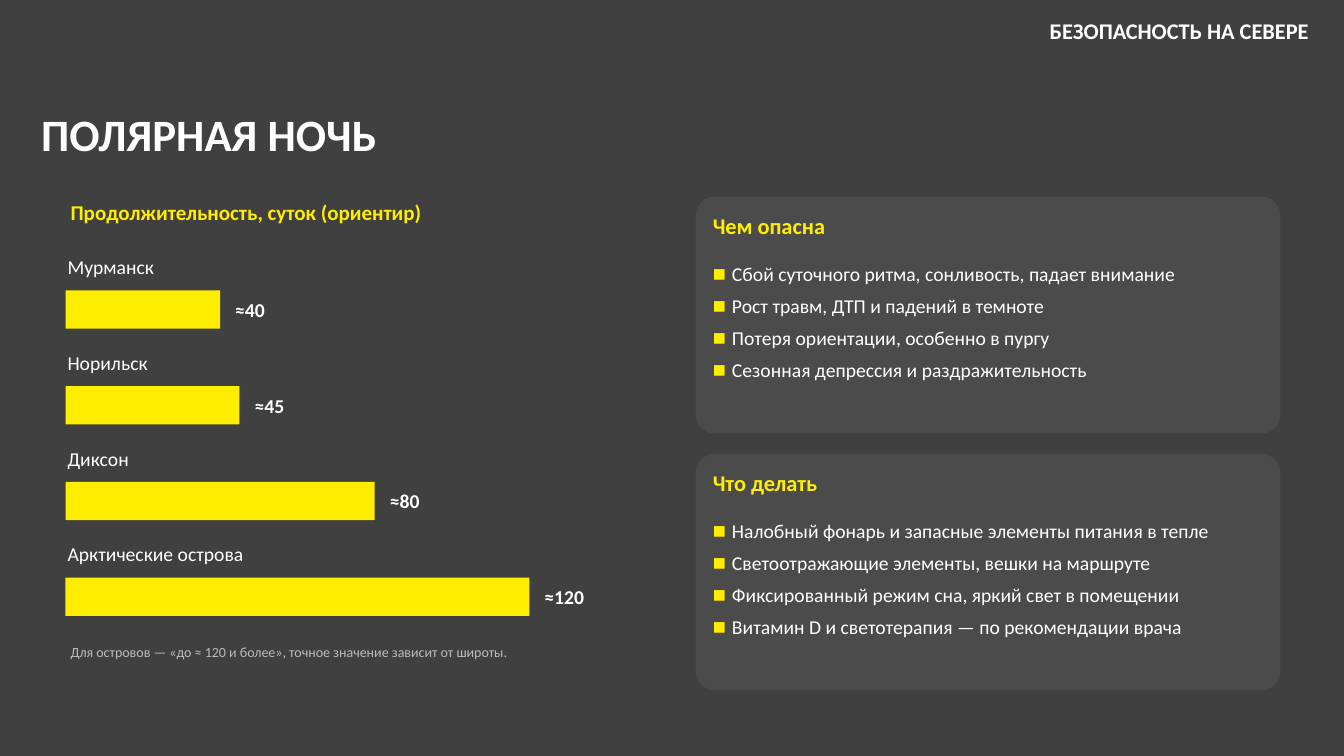
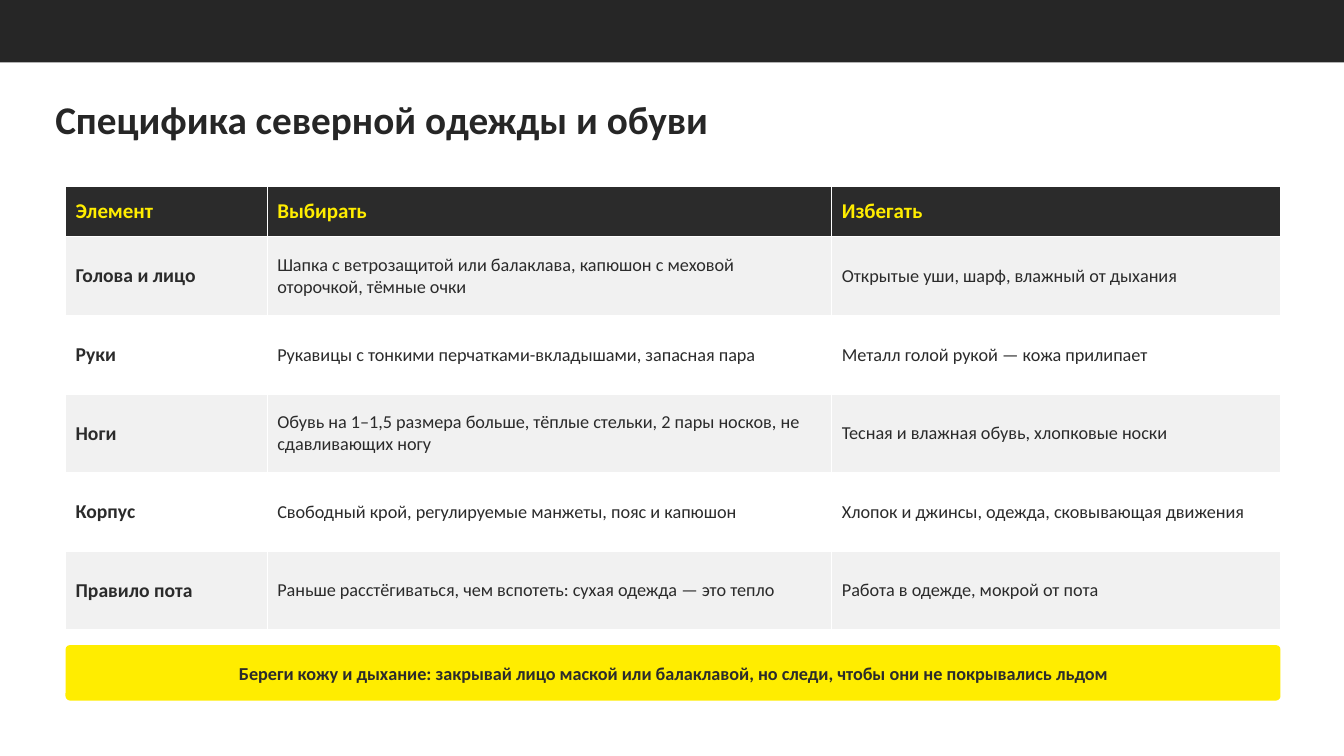
"""Build two slides on safety in the North: polar night and northern clothing."""
from lxml import etree
from pptx import Presentation
from pptx.dml.color import RGBColor
from pptx.enum.shapes import MSO_SHAPE as Shape
from pptx.enum.text import MSO_ANCHOR as Anchor, PP_ALIGN as Align
from pptx.oxml.ns import qn
from pptx.util import Inches, Pt

FONT = "Calibri"
WHITE, YELLOW, INK, BAND = "FFFFFF", "FFED00", "2B2B2B", "262626"
NIGHT, CARD, NOTE, STRIPE = "404040", "4B4B4B", "BBBBBB", "F1F1F1"
WIDTH, HEIGHT = 13.33, 7.5
LEFT, CONTENT = 0.65, 12.05
COLUMN = 5.8
SNUG, TIGHT = (0.05, 0.03), (0.02, 0.03)

SECTION = "БЕЗОПАСНОСТЬ НА СЕВЕРЕ"
NIGHT_TITLE = "ПОЛЯРНАЯ НОЧЬ"
BARS_TITLE = "Продолжительность, суток (ориентир)"
BARS_NOTE = "Для островов — «до ≈ 120 и более», точное значение зависит от широты."
DURATIONS = [("Мурманск", 40), ("Норильск", 45), ("Диксон", 80), ("Арктические острова", 120)]
LONGEST_BAR, BAR_HEIGHT, BAR_PITCH = 4.6, 0.38, 0.95
CARDS = [
    ("Чем опасна", [
        "Сбой суточного ритма, сонливость, падает внимание",
        "Рост травм, ДТП и падений в темноте",
        "Потеря ориентации, особенно в пургу",
        "Сезонная депрессия и раздражительность",
    ]),
    ("Что делать", [
        "Налобный фонарь и запасные элементы питания в тепле",
        "Светоотражающие элементы, вешки на маршруте",
        "Фиксированный режим сна, яркий свет в помещении",
        "Витамин D и светотерапия — по рекомендации врача",
    ]),
]

CLOTHES_TITLE = "Специфика северной одежды и обуви"
CLOTHES = [
    ("Элемент", "Выбирать", "Избегать"),
    ("Голова и лицо",
     "Шапка с ветрозащитой или балаклава, капюшон с меховой оторочкой, тёмные очки",
     "Открытые уши, шарф, влажный от дыхания"),
    ("Руки", "Рукавицы с тонкими перчатками-вкладышами, запасная пара",
     "Металл голой рукой — кожа прилипает"),
    ("Ноги",
     "Обувь на 1–1,5 размера больше, тёплые стельки, 2 пары носков, не сдавливающих ногу",
     "Тесная и влажная обувь, хлопковые носки"),
    ("Корпус", "Свободный крой, регулируемые манжеты, пояс и капюшон",
     "Хлопок и джинсы, одежда, сковывающая движения"),
    ("Правило пота", "Раньше расстёгиваться, чем вспотеть: сухая одежда — это тепло",
     "Работа в одежде, мокрой от пота"),
]
COLUMN_WIDTHS = [2, 5.6, 4.45]
HEADER_HEIGHT, ROW_HEIGHT = 0.5, 0.78
REMINDER = ("Береги кожу и дыхание: закрывай лицо маской или балаклавой, "
            "но следи, чтобы они не покрывались льдом")


def rgb(value):
    return RGBColor.from_string(value)


def area(*lengths):
    return [Inches(length) for length in lengths]


def style(font, size, color, bold=False):
    font.name, font.size, font.bold = FONT, Pt(size), bold
    font.color.rgb = rgb(color)


def write(frame, lines, size, color, bold=False, align=Align.LEFT, anchor=Anchor.TOP,
          inset=(0.1, 0.05)):
    frame.word_wrap = True
    frame.vertical_anchor = anchor
    frame.margin_left = frame.margin_right = Inches(inset[0])
    frame.margin_top = frame.margin_bottom = Inches(inset[1])
    frame.text = "\n".join(lines)
    for para in frame.paragraphs:
        para.alignment = align
        for span in para.runs:
            style(span.font, size, color, bold)


def add_text(page, place, text, size, color, **options):
    box = page.shapes.add_textbox(*area(*place))
    write(box.text_frame, [text] if isinstance(text, str) else text, size, color, **options)
    return box


def add_panel(page, kind, place, color):
    panel = page.shapes.add_shape(kind, *area(*place))
    panel.shadow.inherit = False
    panel.fill.solid()
    panel.fill.fore_color.rgb = rgb(color)
    panel.line.fill.background()
    if kind == Shape.ROUNDED_RECTANGLE:
        panel.adjustments[0] = 0.08
    return panel


def add_title(page, place, text, size, color, **options):
    return add_text(page, place, text, size, color, bold=True, **options)


def add_bullets(box, color, indent, share):
    for para in box.text_frame.paragraphs:
        para.space_after = Pt(6)
        props = para._p.get_or_add_pPr()
        props.set("marL", str(Inches(indent)))
        props.set("indent", str(-Inches(indent)))
        tint = etree.SubElement(props, qn("a:buClr"))
        etree.SubElement(tint, qn("a:srgbClr"), val=color)
        etree.SubElement(props, qn("a:buSzPct"), val=str(share * 1000))
        etree.SubElement(props, qn("a:buFont"), typeface=FONT)
        etree.SubElement(props, qn("a:buChar"), char="■")


def add_durations(page, top):
    longest = max(days for _, days in DURATIONS)
    for index, (place, days) in enumerate(DURATIONS):
        label_top = top + index * BAR_PITCH
        bar_top = label_top + BAR_HEIGHT
        length = LONGEST_BAR * days / longest
        add_text(page, (LEFT, label_top, COLUMN, 0.35), place, 14, WHITE, inset=TIGHT)
        add_panel(page, Shape.RECTANGLE, (LEFT, bar_top, length, BAR_HEIGHT), YELLOW)
        add_text(page, (LEFT + length + 0.1, bar_top, 1, BAR_HEIGHT), f"≈{days}", 14, WHITE,
                 bold=True, anchor=Anchor.MIDDLE, inset=SNUG)


def add_card(page, left, top, heading, points):
    add_panel(page, Shape.ROUNDED_RECTANGLE, (left, top, COLUMN, 2.35), CARD)
    inner_left, inner_width = left + 0.15, COLUMN - 0.3
    add_text(page, (inner_left, top + 0.12, inner_width, 0.4), heading, 16, YELLOW, bold=True,
             inset=TIGHT)
    box = add_text(page, (inner_left, top + 0.62, inner_width, 1.65), points, 14, WHITE,
                   inset=TIGHT)
    add_bullets(box, YELLOW, 0.19, 71)


def build_night(page):
    add_panel(page, Shape.RECTANGLE, (0, 0, WIDTH, HEIGHT), NIGHT)
    add_title(page, (0.31, 1.01, 11.56, 0.77), NIGHT_TITLE, 32, WHITE)
    add_text(page, (9.28, 0.12, 3.8, 0.37), SECTION, 16, WHITE, bold=True, align=Align.RIGHT)
    add_text(page, (LEFT, 1.95, COLUMN, 0.4), BARS_TITLE, 15, YELLOW, bold=True, inset=SNUG)
    add_durations(page, 2.5)
    add_text(page, (LEFT, 6.35, COLUMN, 0.5), BARS_NOTE, 10, NOTE, inset=SNUG)
    for index, (heading, points) in enumerate(CARDS):
        add_card(page, LEFT + CONTENT - COLUMN, 1.95 + index * 2.55, heading, points)


def add_clothes(page):
    rows, columns = len(CLOTHES), len(COLUMN_WIDTHS)
    height = HEADER_HEIGHT + ROW_HEIGHT * (rows - 1)
    table = page.shapes.add_table(rows, columns, *area(LEFT, 1.85, CONTENT, height)).table
    table.horz_banding = False
    for column, width in zip(table.columns, COLUMN_WIDTHS):
        column.width = Inches(width)
    for r, texts in enumerate(CLOTHES):
        table.rows[r].height = Inches(ROW_HEIGHT if r else HEADER_HEIGHT)
        for c, text in enumerate(texts):
            cell = table.cell(r, c)
            cell.text = text
            cell.vertical_anchor = Anchor.MIDDLE
            cell.fill.solid()
            cell.fill.fore_color.rgb = rgb((STRIPE if r % 2 else WHITE) if r else INK)
            size = 15 if r == 0 else 14 if c == 0 else 13
            style(cell.text_frame.paragraphs[0].runs[0].font, size,
                  INK if r else YELLOW, r == 0 or c == 0)


def build_clothes(page):
    title = add_title(page, (0.45, 0.83, 11.5, 0.75), CLOTHES_TITLE, 28, BAND,
                      anchor=Anchor.MIDDLE)
    title.text_frame.paragraphs[0].line_spacing = 0.9
    add_panel(page, Shape.RECTANGLE, (0, 0, WIDTH, 0.62), BAND)
    add_clothes(page)
    reminder = add_panel(page, Shape.ROUNDED_RECTANGLE, (LEFT, 6.4, CONTENT, 0.55), YELLOW)
    write(reminder.text_frame, [REMINDER], 13, INK, bold=True, align=Align.CENTER,
          anchor=Anchor.MIDDLE, inset=(0.12, 0.03))


def main():
    deck = Presentation()
    deck.slide_width, deck.slide_height = area(WIDTH, HEIGHT)
    for build in (build_night, build_clothes):
        build(deck.slides.add_slide(deck.slide_layouts[6]))
    deck.save("out.pptx")


if __name__ == "__main__":
    main()
